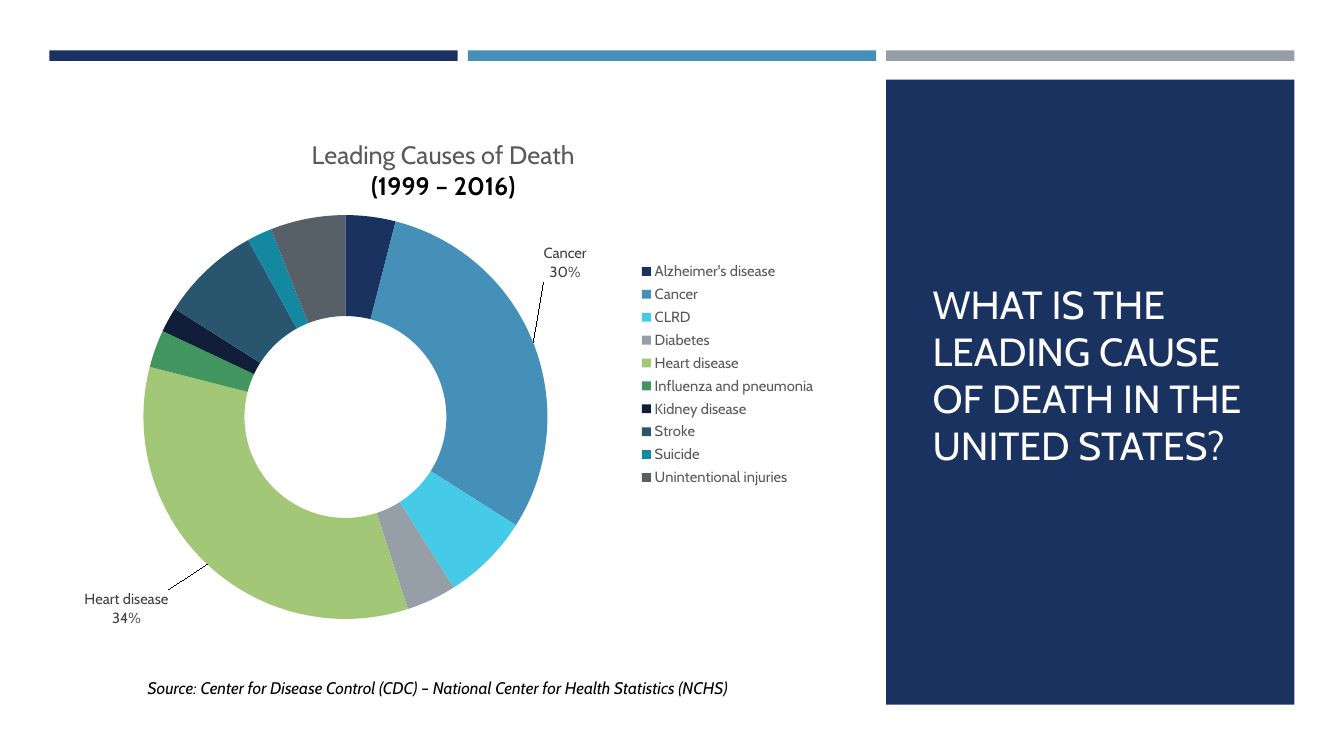
from dataclasses import dataclass

import lxml.etree
import pptx
import pptx.chart.data
import pptx.dml.color
import pptx.enum.chart
import pptx.enum.shapes
import pptx.enum.text
import pptx.oxml
import pptx.oxml.ns
import pptx.util

RGBColor = pptx.dml.color.RGBColor
NAVY = RGBColor(0x1A, 0x32, 0x60)
BLUE = RGBColor(0x45, 0x90, 0xB8)
SILVER = RGBColor(0x96, 0x9F, 0xA7)
SKY = RGBColor(0x45, 0xCB, 0xE8)
LIME = RGBColor(0xA2, 0xC7, 0x77)
GREEN = RGBColor(0x42, 0x95, 0x5F)
INK = RGBColor(0x10, 0x1E, 0x3A)
STEEL = RGBColor(0x29, 0x56, 0x6E)
TEAL = RGBColor(0x14, 0x88, 0xA1)
SLATE = RGBColor(0x57, 0x60, 0x67)
GRAY = RGBColor(0x59, 0x59, 0x59)
DARK = RGBColor(0x40, 0x40, 0x40)
BLACK = RGBColor(0, 0, 0)
WHITE = RGBColor(0xFF, 0xFE, 0xFF)

FONT = "Cabin"
WIDE = pptx.util.Inches(13.33)
HIGH = pptx.util.Inches(7.5)
LEFT, COLUMN, STEP = 3.68, 30.38, 31.13


@dataclass(frozen=True)
class Box:
    """A place on the slide, in percent of its width and height."""
    left: float
    top: float
    width: float
    height: float

    def span(self) -> tuple:
        return (int(WIDE * self.left / 100), int(HIGH * self.top / 100),
                int(WIDE * self.width / 100), int(HIGH * self.height / 100))


@dataclass(frozen=True)
class Cause:
    name: str
    share: int
    color: RGBColor
    shift: tuple = ()  # label offset, in percent of the chart


CAUSES = [
    Cause("Alzheimer's disease", 4, NAVY),
    Cause("Cancer", 30, BLUE, (10.2, -18.9)),
    Cause("CLRD", 7, SKY),
    Cause("Diabetes", 4, SILVER),
    Cause("Heart disease", 34, LIME, (-14.9, 15.6)),
    Cause("Influenza and pneumonia", 3, GREEN),
    Cause("Kidney disease", 2, INK),
    Cause("Stroke", 8, STEEL),
    Cause("Suicide", 2, TEAL),
    Cause("Unintentional injuries", 6, SLATE),
]


def style(font, size: float, color: RGBColor) -> None:
    font.name = FONT
    font.size = pptx.util.Pt(size)
    font.color.rgb = color


def add_block(slide, box: Box, color: RGBColor):
    block = slide.shapes.add_shape(
        pptx.enum.shapes.MSO_SHAPE.RECTANGLE, *box.span())
    block.shadow.inherit = False
    block.fill.solid()
    block.fill.fore_color.rgb = color
    block.line.fill.background()
    return block


def place(part, index: int, **spot: float) -> None:
    """Give a chart part a manual layout, in percent of the chart."""
    for old in part.xpath("./c:layout"):
        part.remove(old)
    tag = pptx.oxml.ns.qn
    layout = pptx.oxml.parse_xml(
        f"<c:layout {pptx.oxml.ns.nsdecls('c')}><c:manualLayout/></c:layout>")
    modes = {}
    if "w" in spot:
        modes["layoutTarget"] = "inner"
    if part.tag != tag("c:dLbl"):
        modes.update(xMode="edge", yMode="edge")
    shares = {key: f"{value / 100:.3f}" for key, value in spot.items()}
    for key, value in {**modes, **shares}.items():
        lxml.etree.SubElement(layout[0], tag(f"c:{key}")).set("val", value)
    part.insert(index, layout)


def add_labels(chart, series) -> None:
    """Label the causes that have a shift with name and percent."""
    series.data_labels.show_value = False
    marked = [(i, cause) for i, cause in enumerate(CAUSES) if cause.shift]
    for i, cause in marked:
        style(series.points[i].data_label.font, 10.5, DARK)
        label = chart.element.xpath(f".//c:ser//c:dLbl[c:idx/@val='{i}']")[0]
        for key, shown in (("Val", "0"), ("CatName", "1"), ("Percent", "1")):
            label.xpath(f"./c:show{key}")[0].set("val", shown)
        gap = lxml.etree.SubElement(label, pptx.oxml.ns.qn("c:separator"))
        gap.text = "\n"
        place(label, 1, x=cause.shift[0], y=cause.shift[1])


def add_ring(slide, box: Box) -> None:
    data = pptx.chart.data.CategoryChartData()
    data.categories = [cause.name for cause in CAUSES]
    data.add_series("Series 1", [cause.share for cause in CAUSES])
    chart = slide.shapes.add_chart(
        pptx.enum.chart.XL_CHART_TYPE.DOUGHNUT, *box.span(), data).chart
    style(chart.font, 10.5, BLACK)

    frame = chart.chart_title.text_frame
    frame.text = "Leading Causes of Death\n(1999 – 2016)"
    for line, color, bold in zip(frame.paragraphs, (GRAY, BLACK), (False, True)):
        style(line.runs[0].font, 18, color)
        line.runs[0].font.bold = bold
    place(chart.element.xpath("./c:chart/c:title")[0], 1, x=33, y=4)
    place(chart.element.xpath(".//c:plotArea")[0], 0, x=11.6, y=19.3, w=52.3, h=77.8)

    chart.has_legend = True
    chart.legend.position = pptx.enum.chart.XL_LEGEND_POSITION.RIGHT
    chart.legend.include_in_layout = False
    style(chart.legend.font, 10.5, GRAY)

    plot = chart.plots[0]
    plot.vary_by_categories = True
    series = plot.series[0]
    for i, cause in enumerate(CAUSES):
        fill = series.points[i].format.fill
        fill.solid()
        fill.fore_color.rgb = cause.color
    add_labels(chart, series)


def add_title(slide, panel, box: Box) -> None:
    title = slide.shapes.title
    title.left, title.top, title.width, title.height = box.span()
    panel.element.addnext(title.element)
    frame = title.text_frame
    frame.text = "WHAT IS THE LEADING CAUSE OF DEATH IN THE UNITED STATES?"
    frame.word_wrap = True
    frame.auto_size = pptx.enum.text.MSO_AUTO_SIZE.NONE
    frame.vertical_anchor = pptx.enum.text.MSO_ANCHOR.MIDDLE
    line = frame.paragraphs[0]
    line.alignment = pptx.enum.text.PP_ALIGN.LEFT
    style(line.runs[0].font, 28, WHITE)


def add_source(slide, box: Box) -> None:
    frame = slide.shapes.add_textbox(*box.span()).text_frame
    frame.word_wrap = True
    frame.text = ("Source: Center for Disease Control (CDC) – "
                  "National Center for Health Statistics (NCHS)")
    line = frame.paragraphs[0]
    line.alignment = pptx.enum.text.PP_ALIGN.CENTER
    style(line.runs[0].font, 12, BLACK)
    line.runs[0].font.italic = True


def main() -> None:
    deck = pptx.Presentation()
    deck.slide_width, deck.slide_height = WIDE, HIGH
    slide = deck.slides.add_slide(deck.slide_layouts.get_by_name("Title Only"))
    for i, color in enumerate((NAVY, BLUE, SILVER)):
        add_block(slide, Box(LEFT + i * STEP, 6.67, COLUMN, 1.39), color)
    panel = add_block(slide, Box(LEFT + 2 * STEP, 10.53, COLUMN, 82.67), NAVY)
    add_title(slide, panel, Box(68.64, 15.2, 25.06, 68.67))
    add_ring(slide, Box(3.98, 15.2, 57.54, 68.67))
    add_source(slide, Box(LEFT, 88.93, 57.84, 4.13))
    deck.save("out.pptx")


if __name__ == "__main__":
    main()
